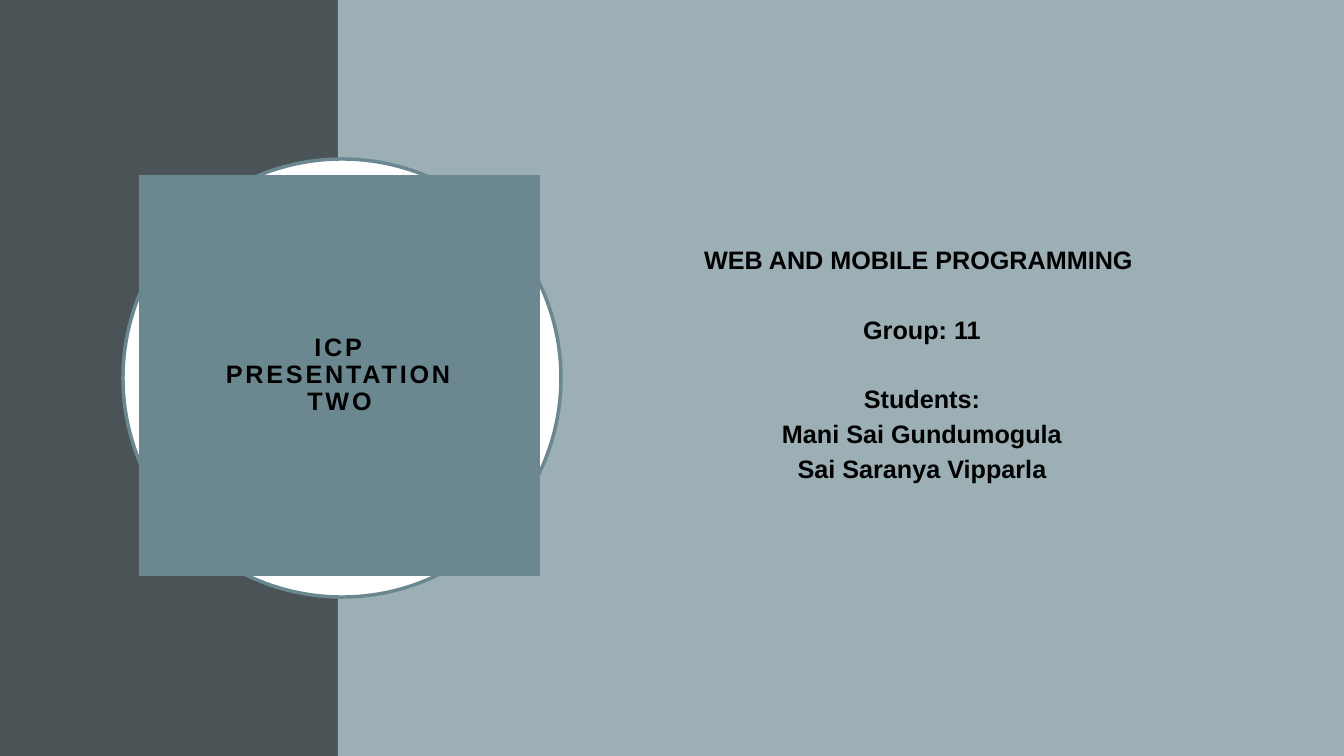
from dataclasses import dataclass

from pptx import Presentation
from pptx import util as u
from pptx.dml.color import RGBColor
from pptx.enum import shapes, text
from pptx.oxml import parse_xml
from pptx.oxml.ns import nsdecls

SLIDE_WIDTH, SLIDE_HEIGHT = 1344, 756
EMU_PER_PX = 12192000 / SLIDE_WIDTH


@dataclass(frozen=True)
class Theme:
    dark: RGBColor = RGBColor(0x4A, 0x53, 0x56)
    pale: RGBColor = RGBColor(0x9B, 0xAF, 0xB5)
    accent: RGBColor = RGBColor(0x6B, 0x88, 0x91)
    white: RGBColor = RGBColor(0xFF, 0xFF, 0xFF)
    ink: RGBColor = RGBColor(0x00, 0x00, 0x00)
    font: str = "Arial"
    size: u.Pt = u.Pt(18)
    line_width: u.Pt = u.Pt(2.5)
    tracking: int = 200  # hundredths of a point


@dataclass(frozen=True)
class Box:
    left: int
    top: int
    width: int
    height: int


@dataclass(frozen=True)
class Panel:
    kind: shapes.MSO_SHAPE
    box: Box
    fill: RGBColor
    line: RGBColor | None = None


@dataclass(frozen=True)
class Line:
    words: str
    gap: float = 0  # points above the line


THEME = Theme()
SPLIT = 338
GROUP_GAP = 24.8

PANELS = [
    Panel(shapes.MSO_SHAPE.RECTANGLE, Box(0, 0, SPLIT, SLIDE_HEIGHT), THEME.dark),
    Panel(shapes.MSO_SHAPE.RECTANGLE,
          Box(SPLIT, 0, SLIDE_WIDTH - SPLIT, SLIDE_HEIGHT), THEME.pale),
    Panel(shapes.MSO_SHAPE.OVAL, Box(123, 159, 438, 438), THEME.white, THEME.accent),
]
TITLE_BOX = Box(139, 175, 401, 401)
TITLE = [Line("ICP\vPRESENTATION\vTWO")]
BODY_BOX = Box(595, 235, 654, 286)
BODY = [
    Line("WEB AND MOBILE PROGRAMMING "),
    Line("Group: 11", GROUP_GAP),
    Line("Students:", GROUP_GAP),
    Line("Mani Sai Gundumogula"),
    Line("Sai Saranya Vipparla"),
]


def px(length: int) -> u.Emu:
    return u.Emu(round(length * EMU_PER_PX))


def place(shape, box: Box) -> None:
    shape.left, shape.top = px(box.left), px(box.top)
    shape.width, shape.height = px(box.width), px(box.height)


def add_panel(page, panel: Panel) -> None:
    box = panel.box
    shape = page.shapes.add_shape(
        panel.kind, px(box.left), px(box.top), px(box.width), px(box.height))
    shape.shadow.inherit = False
    shape.fill.solid()
    shape.fill.fore_color.rgb = panel.fill
    if panel.line is None:
        shape.line.fill.background()
    else:
        shape.line.color.rgb = panel.line
        shape.line.width = THEME.line_width


def write_lines(shape, lines: list[Line], spacing: float) -> None:
    frame = shape.text_frame
    frame.word_wrap = True
    frame.auto_size = text.MSO_AUTO_SIZE.NONE
    for index, line in enumerate(lines):
        para = frame.add_paragraph() if index else frame.paragraphs[0]
        para.text = line.words
        para.alignment = text.PP_ALIGN.CENTER
        para.line_spacing = spacing
        para.space_before, para.space_after = u.Pt(line.gap), u.Pt(0)
        # Plain lines: no bullet and no hanging indent
        properties = para._p.get_or_add_pPr()
        properties.set("marL", "0")
        properties.set("indent", "0")
        properties.append(parse_xml(f"<a:buNone {nsdecls('a')}/>"))
        para.font.name, para.font.size = THEME.font, THEME.size
        para.font.bold = True
        para.font.color.rgb = THEME.ink


def main() -> None:
    deck = Presentation()
    deck.slide_width, deck.slide_height = px(SLIDE_WIDTH), px(SLIDE_HEIGHT)
    page = deck.slides.add_slide(deck.slide_layouts[1])
    title, body = page.shapes.title, page.placeholders[1]

    # Background and panels
    page.background.fill.solid()
    page.background.fill.fore_color.rgb = THEME.pale
    for panel in PANELS:
        add_panel(page, panel)

    # Title square over the circle
    place(title, TITLE_BOX)
    title.fill.solid()
    title.fill.fore_color.rgb = THEME.accent
    write_lines(title, TITLE, 0.9)
    frame = title.text_frame
    frame.vertical_anchor = text.MSO_ANCHOR.MIDDLE
    frame.margin_left = frame.margin_right = px(20)
    frame.margin_top = frame.margin_bottom = px(20)
    for span in frame.paragraphs[0].runs:
        span._r.get_or_add_rPr().set("spc", str(THEME.tracking))

    # Course, group and students
    place(body, BODY_BOX)
    write_lines(body, BODY, 1.15)
    body.text_frame.vertical_anchor = text.MSO_ANCHOR.TOP

    # Bring the text in front of the panels
    for shape in (title, body):
        page.shapes._spTree.append(shape._element)

    deck.save("out.pptx")


if __name__ == "__main__":
    main()
